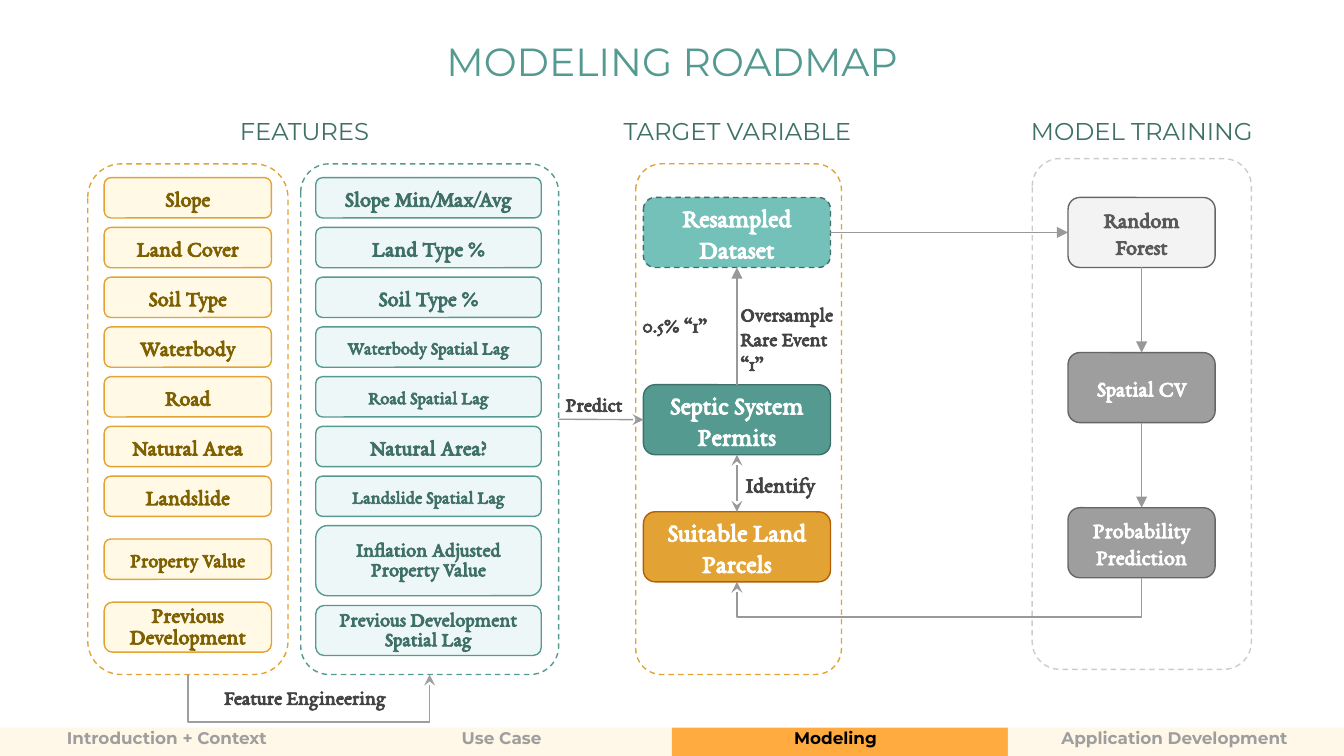
from lxml import etree
from pptx import Presentation
from pptx.dml.color import RGBColor
from pptx.enum.dml import MSO_LINE as Dash
from pptx.enum.shapes import MSO_CONNECTOR as Connector, MSO_SHAPE as Preset
from pptx.enum.text import MSO_ANCHOR as Anchor, PP_ALIGN as Align
from pptx.oxml.ns import qn
from pptx.util import Pt

SERIF, SANS = "EB Garamond", "Montserrat"
color = RGBColor.from_string

presentation = Presentation()
presentation.slide_width, presentation.slide_height = Pt(720), Pt(405)
slide = presentation.slides.add_slide(presentation.slide_layouts[6])
shapes = slide.shapes


def write(shape, text, size=12, ink="434343", font=SERIF, bold=True,
          align=Align.LEFT, anchor=Anchor.TOP, spacing=None):
    frame = shape.text_frame
    frame.word_wrap = True
    frame.vertical_anchor = anchor
    frame.margin_left = frame.margin_right = Pt(7.2)
    frame.margin_top = frame.margin_bottom = Pt(7.2)
    paragraph = frame.paragraphs[0]
    paragraph.alignment = align
    if spacing:
        paragraph.line_spacing = spacing
    run = paragraph.add_run()
    run.text = text
    run.font.size, run.font.name, run.font.bold = Pt(size), font, bold
    run.font.color.rgb = color(ink)


def add_box(left, top, width, height, fill=None, line=None, dashed=False,
            opacity=None, corner=0.167, preset=Preset.ROUNDED_RECTANGLE):
    shape = shapes.add_shape(preset, Pt(left), Pt(top), Pt(width), Pt(height))
    shape.shadow.inherit = False
    if preset == Preset.ROUNDED_RECTANGLE:
        shape.adjustments[0] = corner
    if fill:
        shape.fill.solid()
        shape.fill.fore_color.rgb = color(fill)
    else:
        shape.fill.background()
    if opacity:
        tint = shape.fill._xPr.find(qn("a:solidFill"))[0]
        etree.SubElement(tint, qn("a:alpha")).set("val", str(opacity * 1000))
    if line:
        shape.line.color.rgb = color(line)
        shape.line.width = Pt(0.75)
        if dashed:
            shape.line.dash_style = Dash.DASH
    else:
        shape.line.fill.background()
    return shape


# Dashed panels
panels = {}
for name, left, top, width, line, corner in [
    ("training", 553, 85, 117.4, "CCCCCC", 0.126),
    ("target", 340.6, 87.8, 110.2, "E2A334", 0.126),
    ("engineered", 161.1, 87.8, 138.2, "559A90", 0.11),
    ("raw", 47, 87.8, 107.3, "E2A334", 0.167),
]:
    panels[name] = add_box(left, top, width, 273.6, line=line, dashed=True, corner=corner)

# Title and column headings
for text, left, top, width, height, size, ink in [
    ("MODELING ROADMAP", 205.5, 27.4, 309, 25.2, 21, "559A90"),
    ("FEATURES", 90.7, 55.4, 144.7, 29.5, 13, "3E7067"),
    ("TARGET VARIABLE", 322.6, 55.4, 144.7, 29.5, 13, "3E7067"),
    ("MODEL TRAINING", 539.3, 55.4, 144.7, 29.5, 13, "3E7067"),
]:
    heading = shapes.add_textbox(Pt(left), Pt(top), Pt(width), Pt(height))
    write(heading, text, size, ink, SANS, False, Align.CENTER, Anchor.BOTTOM)

# Feature columns: seven even rows, then two rows placed on their own
raw_features = [
    ("Slope", 12), ("Land Cover", 12), ("Soil Type", 12), ("Waterbody", 12),
    ("Road", 12), ("Natural Area", 12), ("Landslide", 12),
    ("Property Value", 11, 288.8, 21.6), ("Previous Development", 12, 322.6, 26.8, 0.8),
]
engineered_features = [
    ("Slope Min/Max/Avg", 12), ("Land Type %", 12), ("Soil Type %", 12),
    ("Waterbody Spatial Lag", 10), ("Road Spatial Lag", 10), ("Natural Area?", 12),
    ("Landslide Spatial Lag", 10),
    ("Inflation Adjusted Property Value", 11, 281.6, 37.6, 0.8),
    ("Previous Development Spatial Lag", 11, 324.4, 26.8, 0.8),
]
for features, left, width, fill, opacity, line, ink in [
    (raw_features, 55.8, 89.6, "FFE48D", 21, "E2A334", "7F6000"),
    (engineered_features, 169.2, 120.8, "ADDBD7", 20, "559A90", "3E7067"),
]:
    for row, (text, size, *placing) in enumerate(features):
        top, height, *spacing = placing or (95.2 + 26.65 * row, 21.6)
        box = add_box(left, top, width, height, fill, line, opacity=opacity)
        write(box, text, size, ink, align=Align.CENTER, anchor=Anchor.MIDDLE,
              spacing=spacing[0] if spacing else None)

# Target and model boxes
steps = {}
for text, left, top, width, fill, line, size, ink in [
    ("Resampled Dataset", 344.7, 105.8, 100.2, "74C1B9", "3E7067", 14, "FFFFFF"),
    ("Septic System Permits", 344.7, 206.1, 100.2, "559A90", "3E7067", 14, "FFFFFF"),
    ("Suitable Land Parcels", 344.7, 274.2, 100.2, "E2A334", "B45F06", 14, "FFFFFF"),
    ("Random Forest", 572.2, 105.8, 78.8, "F3F3F3", "666666", 12, "595959"),
    ("Spatial CV", 572.2, 188.9, 78.8, "9E9E9E", "666666", 12, "FFFFFF"),
    ("Probability Prediction", 572.2, 272, 78.8, "9E9E9E", "666666", 12, "FFFFFF"),
]:
    steps[text] = add_box(left, top, width, 37.5, fill, line, text == "Resampled Dataset")
    write(steps[text], text, size, ink, align=Align.CENTER, anchor=Anchor.MIDDLE)

# Straight arrows, joined to side middles (0 top, 1 left, 2 bottom, 3 right)
resampled, permits, parcels, forest, validation, prediction = steps.values()
arrows = []
for start, start_side, end, end_side, head, tail in [
    (panels["engineered"], 3, permits, 1, None, "stealth"),
    (parcels, 0, permits, 2, "stealth", "stealth"),
    (permits, 0, resampled, 2, None, "triangle"),
    (resampled, 3, forest, 1, None, "triangle"),
    (forest, 2, validation, 0, None, "triangle"),
    (validation, 2, prediction, 0, None, "triangle"),
]:
    arrow = shapes.add_connector(Connector.STRAIGHT, 0, 0, 0, 0)
    arrow.begin_connect(start, start_side)
    arrow.end_connect(end, end_side)
    arrows.append((arrow, "999999", head, tail))

# U-shaped arrows: a rotated elbow whose bend drops below both ends
for start_x, start_y, end_x, end_y, drop, ink in [
    (100.7, 361.4, 230.2, 361.45, 22.4, "9E9E9E"),
    (611.6, 309.5, 394.8, 311.7, 21, "999999"),
]:
    depth, span = end_y - start_y, abs(end_x - start_x)
    left = (start_x + end_x - depth) / 2
    top = (start_y + end_y - span) / 2
    arrow = shapes.add_connector(Connector.ELBOW, Pt(left), Pt(top),
                                 Pt(left + depth), Pt(top + span))
    transform = arrow._element.spPr.find(qn("a:xfrm"))
    rightward = end_x > start_x
    transform.set("rot", str((270 if rightward else 90) * 60000))
    if rightward:
        transform.set("flipH", "1")
    geometry = arrow._element.spPr.find(qn("a:prstGeom"))
    guides = geometry.find(qn("a:avLst"))
    if guides is None:
        guides = etree.SubElement(geometry, qn("a:avLst"))
    guide = etree.SubElement(guides, qn("a:gd"))
    guide.set("name", "adj1")
    guide.set("fmla", f"val {round(drop / depth * 100000)}")
    arrows.append((arrow, ink, None, "stealth"))

# Arrow lines and heads
for arrow, ink, head, tail in arrows:
    arrow.line.color.rgb = color(ink)
    arrow.line.width = Pt(0.75)
    line = arrow.line._get_or_add_ln()
    for tag, kind in (("a:headEnd", head), ("a:tailEnd", tail)):
        if kind:
            etree.SubElement(line, qn(tag)).set("type", kind)
    etree.SubElement(arrow._element.spPr, qn("a:effectLst"))

# Arrow labels
for text, left, top, width, size in [
    ("Predict", 295.9, 203, 56.2, 11),
    ("Identify", 392.4, 244.8, 56.2, 12),
    ("Feature Engineering", 113, 360, 132.5, 11),
    ("Oversample Rare Event “1”", 389.5, 154.1, 70.6, 11),
    ("0.5% “1”", 337, 160.6, 70.6, 11),
]:
    write(shapes.add_textbox(Pt(left), Pt(top), Pt(width), Pt(24.5)), text, size)

# Section bar
for section, (text, left, width) in enumerate([
    ("Introduction + Context", 28.8, 124.6),
    ("Use Case", 240.3, 59.8),
    ("Modeling", 418.3, 63.4),
    ("Application Development", 561.6, 136.8),
]):
    current = text == "Modeling"
    add_box(180 * section, 389.8, 180, 15.2, "FFAB40" if current else "FFF8E9",
            preset=Preset.RECTANGLE)
    label = shapes.add_textbox(Pt(left), Pt(384.5), Pt(width), Pt(15.1))
    write(label, text, 9, "000000" if current else "9E9E9E", SANS)

presentation.save("out.pptx")
